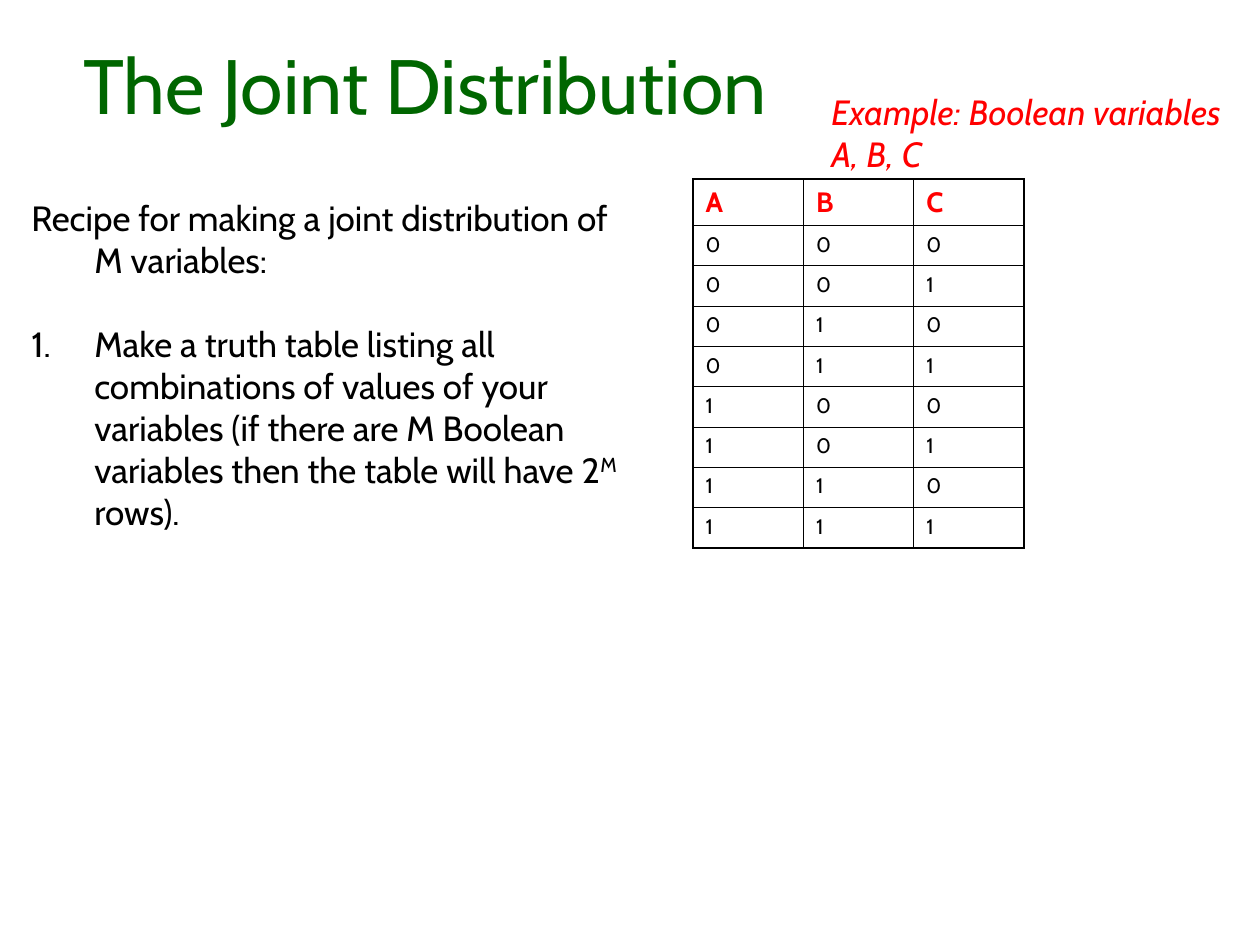
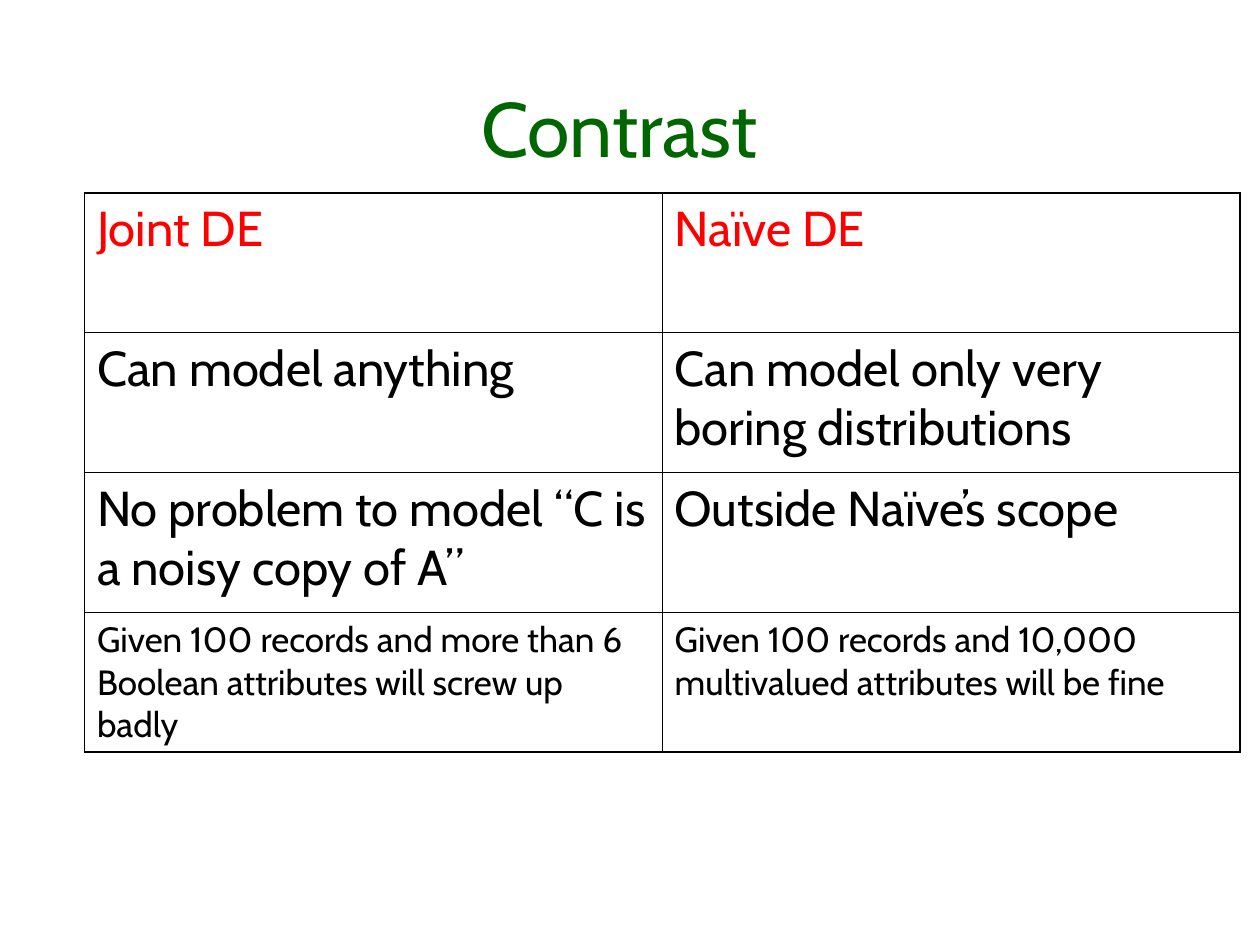
"""Build two slides on joint distributions and how they contrast with naive ones."""
from lxml import etree
from pptx import Presentation
from pptx.dml.color import RGBColor
from pptx.enum.text import MSO_ANCHOR, PP_ALIGN
from pptx.oxml.ns import qn
from pptx.util import Inches, Pt

TOP, BOTTOM = MSO_ANCHOR.TOP, MSO_ANCHOR.BOTTOM
LEFT, CENTER = PP_ALIGN.LEFT, PP_ALIGN.CENTER
FONT = "Cabin"
COLORS = {"title": "006600", "accent": "FF0000", "body": "000000", "border": "000000"}
OUTER_BORDER, INNER_BORDER = 1.08, 0.45

RECIPE_INTRO = "Recipe for making a joint distribution of M variables:"
RECIPE_STEP = [
    ("Make a truth table listing all combinations of values of your variables "
     "(if there are M Boolean variables then the table will have 2", {}),
    ("M ", {"baseline": 30}),
    ("rows).", {}),
]
EXAMPLE = "Example: Boolean variables A, B, C"
VARIABLES = ["A", "B", "C"]
TRUTH_ROWS = [list(format(number, "03b")) for number in range(2 ** len(VARIABLES))]
CONTRAST_HEADER = ["Joint DE", "Naïve DE"]
CONTRAST_ROWS = [
    ["Can model anything", "Can model only very boring distributions"],
    ["No problem to model “C is a noisy copy of A”", "Outside Naïve’s scope"],
]
CONTRAST_LAST = [
    "Given 100 records and more than 6 Boolean attributes will screw up badly",
    "Given 100 records and 10,000 multivalued attributes will be fine",
]


def write(para, text, size=20, color="body", bold=False, italic=False,
          align=LEFT, before=0, hanging=0, number=False):
    para.alignment = align
    para.space_before = Pt(before)
    properties = para._p.get_or_add_pPr()
    if hanging:
        properties.set("marL", str(Inches(hanging)))
        properties.set("indent", str(-Inches(hanging)))
    if number:
        etree.SubElement(properties, qn("a:buFont"), typeface=FONT)
        etree.SubElement(properties, qn("a:buAutoNum"), type="arabicPeriod")
    for words, extra in [(text, {})] if isinstance(text, str) else text:
        span = para.add_run()
        span.text = words
        font = span.font
        font.name, font.size, font.bold, font.italic = FONT, Pt(size), bold, italic
        font.color.rgb = RGBColor.from_string(COLORS[color])
        if "baseline" in extra:
            font._element.set("baseline", str(extra["baseline"] * 1000))


def add_box(page, place, anchor=TOP):
    frame = page.shapes.add_textbox(*map(Inches, place)).text_frame
    frame.word_wrap = True
    frame.vertical_anchor = anchor
    return frame


def add_titled_page(deck, title, width, height):
    page = deck.slides.add_slide(deck.slide_layouts[6])
    frame = add_box(page, (0.25, 0.25, width, height), BOTTOM)
    write(frame.paragraphs[0], title, size=44, color="title", align=CENTER)
    return page


def set_borders(cell, outer_sides):
    properties = cell._tc.get_or_add_tcPr()
    for side in "LRTB":
        width = OUTER_BORDER if side in outer_sides else INNER_BORDER
        line = etree.SubElement(properties, qn("a:ln" + side), w=str(Pt(width)))
        fill = etree.SubElement(line, qn("a:solidFill"))
        etree.SubElement(fill, qn("a:srgbClr"), val=COLORS["border"])


def add_grid(page, left, top, width, rows):
    """Place rows given as (height, texts, format)."""
    row_count, column_count = len(rows), len(rows[0][1])
    height = sum(row[0] for row in rows)
    table = page.shapes.add_table(
        row_count, column_count, *map(Inches, (left, top, width, height))).table
    table.first_row = table.horz_banding = False
    for r, (row_height, texts, style) in enumerate(rows):
        table.rows[r].height = Inches(row_height)
        for c, text in enumerate(texts):
            cell = table.cell(r, c)
            edges = {"L": c == 0, "R": c == column_count - 1,
                     "T": r == 0, "B": r == row_count - 1}
            set_borders(cell, [side for side, is_outer in edges.items() if is_outer])
            cell.fill.background()
            write(cell.text_frame.paragraphs[0], text, **style)


deck = Presentation()
deck.slide_width, deck.slide_height = Inches(10), Inches(7.5)

page = add_titled_page(deck, "The Joint Distribution", 6.25, 0.83)
recipe = add_box(page, (0.15, 1.51, 4.85, 2.77))
write(recipe.paragraphs[0], RECIPE_INTRO, hanging=0.5)
write(recipe.add_paragraph(), RECIPE_STEP, hanging=0.5, before=24, number=True)
example = add_box(page, (6.5, 0.67, 3.33, 0.77))
write(example.paragraphs[0], EXAMPLE, color="accent", italic=True)
truth_header = {"size": 16, "color": "accent", "bold": True, "before": 4}
truth_body = {"size": 12, "before": 3}
add_grid(page, 5.5, 1.42, 2.63,
         [(0.37, VARIABLES, truth_header)]
         + [(0.32, values, truth_body) for values in TRUTH_ROWS])

page = add_titled_page(deck, "Contrast", 9.33, 1.17)
large = {"size": 28, "before": 7}
add_grid(page, 0.67, 1.53, 9.17,
         [(1.11, CONTRAST_HEADER, {**large, "color": "accent"})]
         + [(1.11, claims, large) for claims in CONTRAST_ROWS]
         + [(1.11, CONTRAST_LAST, {"size": 20, "before": 5})])

deck.save("out.pptx")
